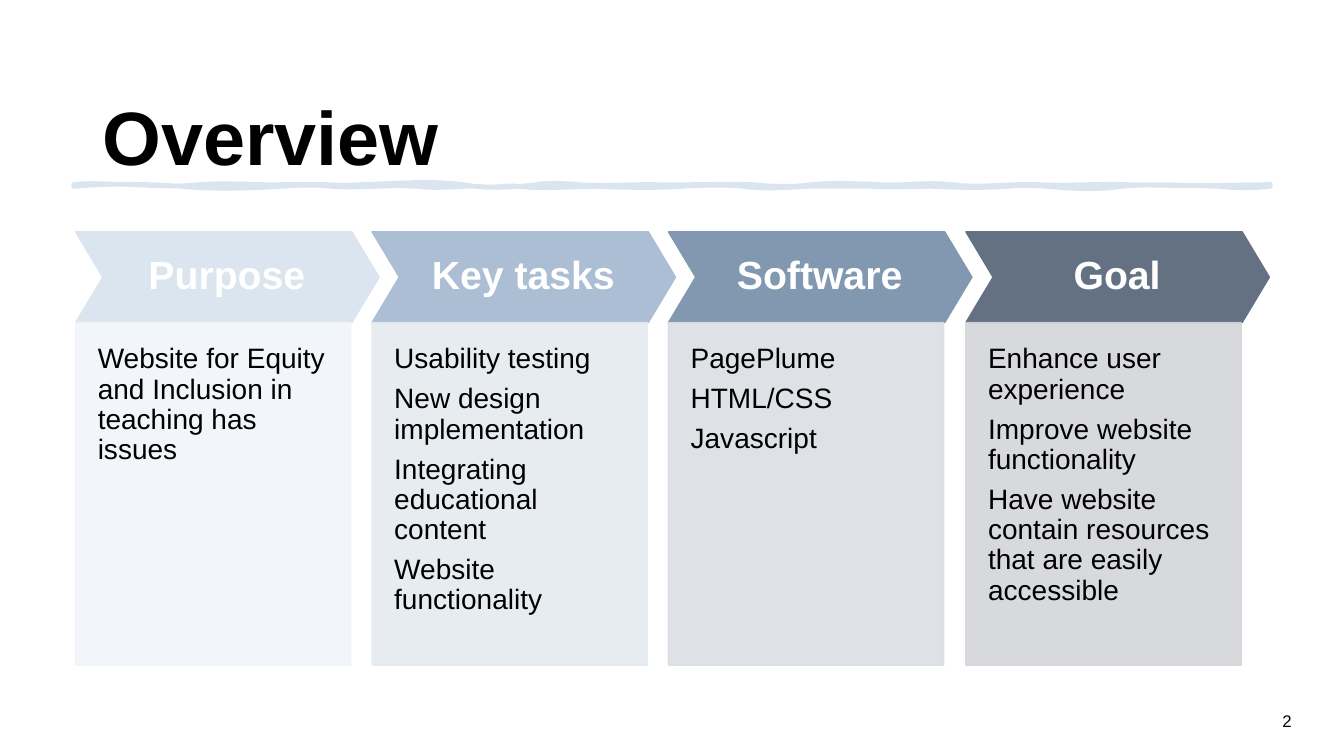
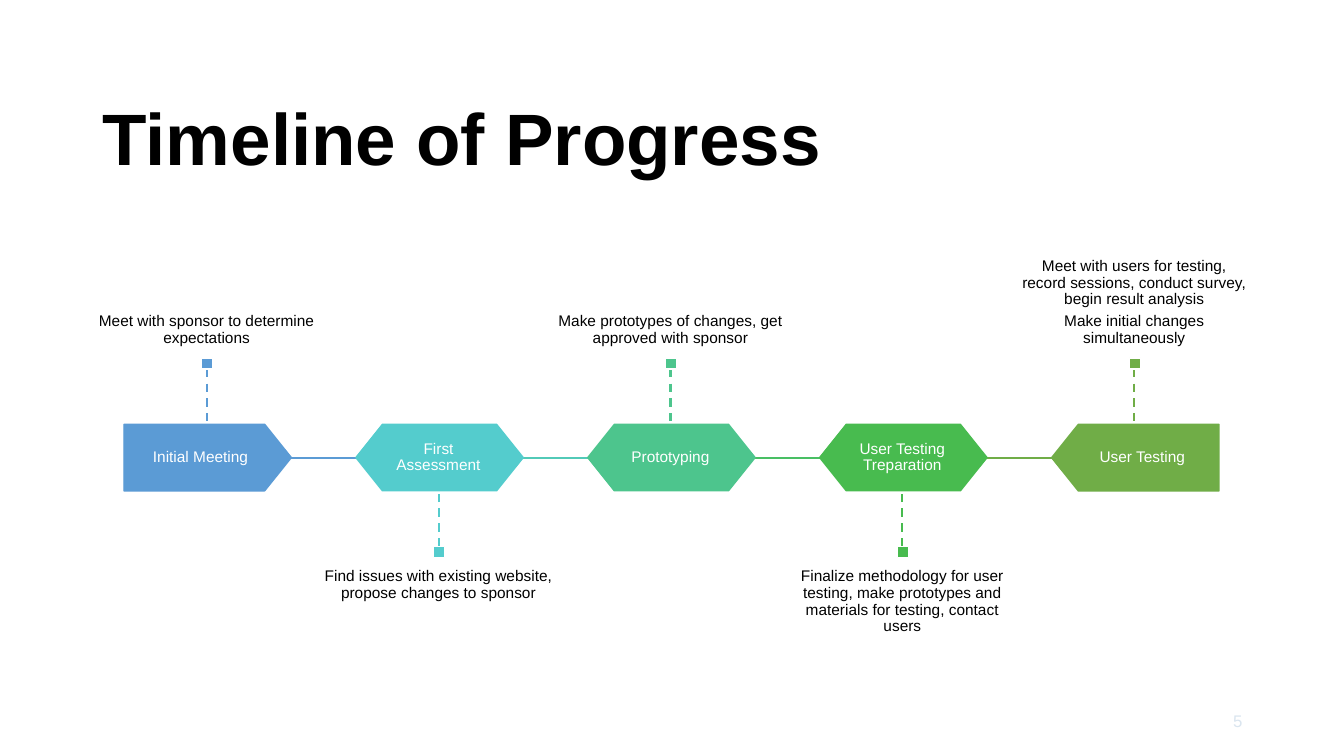
from pptx import Presentation
from pptx.dml.color import RGBColor
from pptx.enum.dml import MSO_LINE as Dash
from pptx.enum.shapes import MSO_CONNECTOR as Conn, MSO_SHAPE as Kind
from pptx.enum.text import MSO_ANCHOR as Anchor, PP_ALIGN as Align
from pptx.oxml.ns import qn
from pptx.util import Pt
from lxml import etree

FONT = "Arial"
HEX = {
    "black": "000000", "white": "FFFFFF", "pale": "DAE5EF",
    "mist": "ABBED3", "steel": "8297B0", "slate": "637183",
    "pale_bg": "F1F5F9", "mist_bg": "E5EAF0",
    "steel_bg": "DBDFE5", "slate_bg": "D3D5D9",
    "blue": "5B9BD5", "aqua": "54CCCD", "mint": "4DC58D",
    "green": "48BB4F", "olive": "70AD47",
    "aqua_link": "52CAB8", "mint_link": "49BF64",
}

COLUMNS = [
    ("Purpose", "pale",
     ["Website for Equity and Inclusion in teaching has issues"]),
    ("Key tasks", "mist",
     ["Usability testing", "New design implementation",
      "Integrating educational content", "Website functionality"]),
    ("Software", "steel", ["PagePlume", "HTML/CSS", "Javascript"]),
    ("Goal", "slate",
     ["Enhance user experience", "Improve website functionality",
      "Have website contain resources that are easily accessible"]),
]

# name, colour, colour of the link to the next step, notes
STEPS = [
    ("Initial Meeting", "blue", "blue",
     ["Meet with sponsor to determine expectations"]),
    ("First Assessment", "aqua", "aqua_link",
     ["Find issues with existing website, propose changes to sponsor"]),
    ("Prototyping", "mint", "mint_link",
     ["Make prototypes of changes, get approved with sponsor"]),
    ("User Testing Treparation", "green", "olive",
     ["Finalize methodology for user testing, make prototypes and "
      "materials for testing, contact users"]),
    ("User Testing", "olive", None,
     ["Meet with users for testing, record sessions, conduct survey, "
      "begin result analysis",
      "Make initial changes simultaneously"]),
]

# Each wave: end x, then how far its two control points leave the base line
TOP = [
    (124, -2, 0), (198, 1, 3), (284, -2, 1), (322, 0, 0), (361, 1, 1),
    (459, -1, -4), (533, 5, 3), (572, -2, -1), (646, 2, 0), (744, 1, -1),
    (806, 2, 3), (868, -2, -1), (943, 2, -3), (1029, 4, -1),
    (1115, 2, -1), (1260, 2, 1),
]
BOTTOM = [
    (1210, 2, 2), (1112, -1, -3), (1038, 4, 2), (999, -1, -1),
    (925, 2, 1), (863, 0, 1), (800, 0, 0), (738, 1, 3), (676, -2, -1),
    (590, 2, 1), (515, 0, 3), (477, -2, 2), (414, -1, 3), (328, -2, 2),
    (278, -2, -1), (180, 2, 3), (73, -3, -3),
]


def px(n):
    """EMU for a length at 100 px to the inch."""
    return round(n * 9144)


def rgb(name):
    return RGBColor.from_string(HEX[name])


def text(slide, box, lines, size=12, color="black", bold=False,
         align=Align.LEFT, anchor=Anchor.TOP, inset=(10, 5, 10, 5),
         lead=0.9, after=0.35):
    """Text box; lead is the line spacing, after a share of the size."""
    frame = slide.shapes.add_textbox(*map(px, box)).text_frame
    frame.word_wrap = True
    frame.vertical_anchor = anchor
    (frame.margin_left, frame.margin_top,
     frame.margin_right, frame.margin_bottom) = map(px, inset)
    for i, line in enumerate(lines):
        para = frame.add_paragraph() if i else frame.paragraphs[0]
        para.alignment = align
        para.line_spacing = lead
        para.space_after = Pt(size * after)
        run = para.add_run()
        run.text = line
        run.font.name = FONT
        run.font.size = Pt(size)
        run.font.bold = bold
        run.font.color.rgb = rgb(color)


def paint(item, fill, edge=None, width=1, alpha=None):
    """Flat fill and edge; alpha is the opacity in percent."""
    item.shadow.inherit = False
    item.fill.solid()
    item.fill.fore_color.rgb = rgb(fill)
    item.line.color.rgb = rgb(edge or fill)
    item.line.width = Pt(width)
    if alpha:
        for color in item._element.spPr.iter(qn("a:srgbClr")):
            etree.SubElement(color, qn("a:alpha"), val=str(alpha * 1000))


def shape(slide, kind, box, fill, adj=None, **style):
    item = slide.shapes.add_shape(kind, *map(px, box))
    if adj is not None:
        item.adjustments[0] = adj
    paint(item, fill, **style)
    return item


def line(slide, start, end, color, dash=False):
    item = slide.shapes.add_connector(
        Conn.STRAIGHT, *map(px, start + end))
    item.line.color.rgb = rgb(color)
    item.line.width = Pt(1.5)
    if dash:
        item.line.dash_style = Dash.DASH
    etree.SubElement(item._element.spPr, qn("a:effectLst"))


def waves(x, y, parts, cuts=8):
    """Points along a row of cubic waves that return to height y."""
    points = []
    for end, a, b in parts:
        for i in range(1, cuts + 1):
            t = i / cuts
            lift = 3 * t * (1 - t) * ((1 - t) * a + t * b)
            points.append((px(x + (end - x) * t), px(y + lift)))
        x = end
    return points


def rule(slide):
    """Hand-drawn rule under the title."""
    left, right, top, base = 73, 1260, 183, 185
    outline = slide.shapes.build_freeform(px(left), px(top), scale=1.0)
    outline.add_line_segments(
        waves(left, top, TOP) + [(px(right), px(base))]
        + waves(right, base, BOTTOM))
    paint(outline.convert_to_shape(), "pale", width=3.25)


def start(deck, title, size, number, right, color):
    """New slide with its title and page number."""
    slide = deck.slides.add_slide(deck.slide_layouts[6])
    text(slide, (92, 40, 1150, 145), [title], size=size, bold=True,
         anchor=Anchor.BOTTOM, after=0)
    text(slide, (right - 181, 695, 181, 40), [number], color=color,
         align=Align.RIGHT, anchor=Anchor.MIDDLE, lead=1, after=0)
    return slide


def column(slide, x, name, color, lines):
    top, high = 230, 90
    shape(slide, Kind.CHEVRON, (x, top, 301, high), color, adj=0.3)
    text(slide, (x + 27, top, 246, high), [name], size=28,
         color="white", bold=True, align=Align.CENTER,
         anchor=Anchor.MIDDLE, inset=(11,) * 4)
    body = (x, top + high, 273, 340)
    shape(slide, Kind.RECTANGLE, body, color + "_bg", alpha=90)
    text(slide, body, lines, size=20, inset=(22, 22, 22, 43))


def step(slide, x, name, color, notes, kind, label, above):
    """Step with its note; label is the name's offset and width."""
    top, wide, high, dot, stem = 421, 166, 66, 11, 55
    mid = x + wide // 2 - 1
    item = shape(slide, kind, (x, top, wide, high), color, adj=0.4)
    if kind == Kind.PENTAGON and label[0]:
        item.rotation = 180
    text(slide, (x + label[0], top, label[1], high), [name], size=11,
         color="white", align=Align.CENTER, anchor=Anchor.MIDDLE,
         inset=(9,) * 4)
    if above:
        near, far = top, top - stem
        spot, note, anchor = far - dot, far - dot - 176, Anchor.BOTTOM
    else:
        near, far = top + high, top + high + stem
        spot, note, anchor = far, far + dot, Anchor.TOP
    line(slide, (mid, far), (mid, near), color, dash=True)
    shape(slide, Kind.RECTANGLE, (mid - 5, spot, dot, dot), color,
          edge="white")
    text(slide, (mid - 115, note, 230, 176), notes, size=11,
         align=Align.CENTER, anchor=anchor, inset=(0, 11, 0, 11))


def overview(deck):
    slide = start(deck, "Overview", 54, "2", 1291, "black")
    rule(slide)
    for i, (name, color, lines) in enumerate(COLUMNS):
        column(slide, 75 + 883 * i // 3, name, color, lines)


def timeline(deck):
    slide = start(deck, "Timeline of Progress", 52, "5", 1242, "pale")
    last = len(STEPS) - 1
    labels = {0: (0, 152), last: (14, 152)}
    for i, (name, color, link, notes) in enumerate(STEPS):
        x = 123 + 230 * i
        kind = Kind.PENTAGON if i in labels else Kind.HEXAGON
        if link:
            line(slide, (x + 166, 454), (x + 230, 454), link)
        step(slide, x, name, color, notes, kind,
             labels.get(i, (22, 120)), above=i % 2 == 0)


def main():
    deck = Presentation()
    deck.slide_width, deck.slide_height = px(1333), px(750)
    overview(deck)
    timeline(deck)
    deck.save("out.pptx")


if __name__ == "__main__":
    main()
